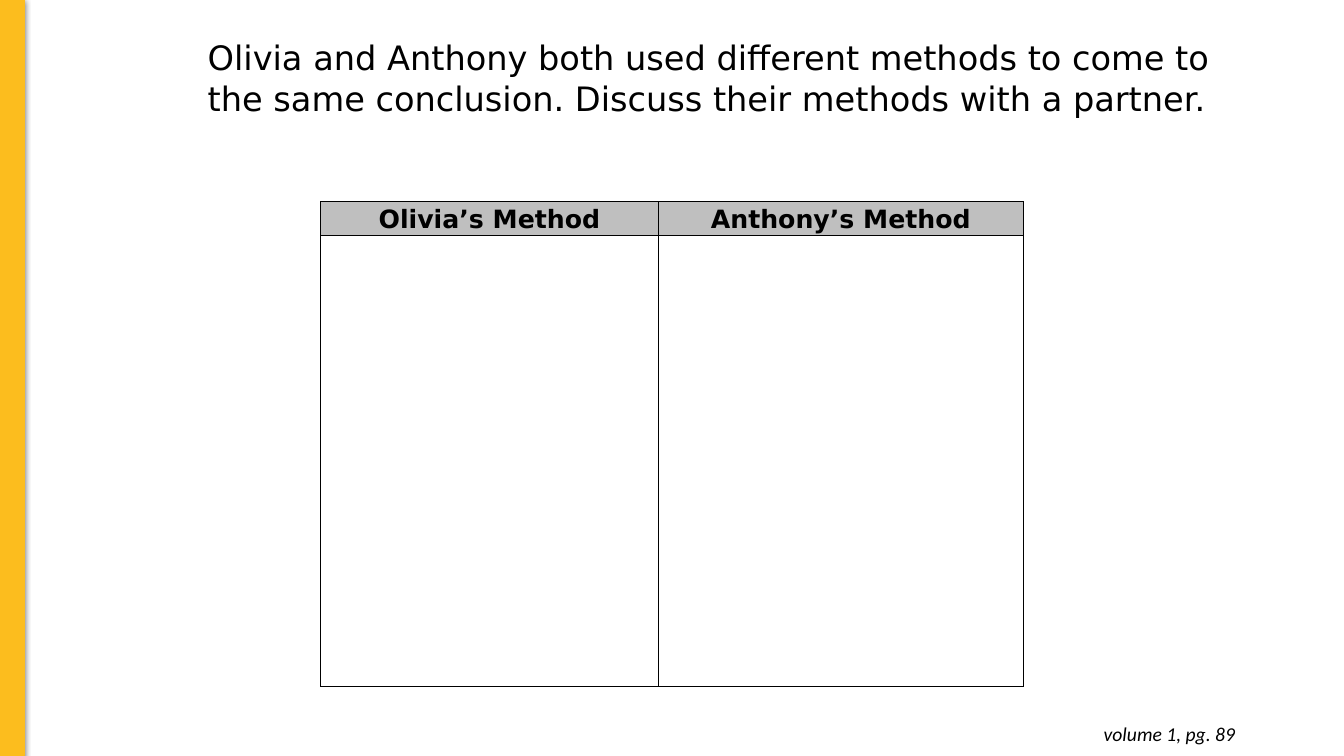
from lxml import etree
from pptx import Presentation
from pptx.dml.color import RGBColor
from pptx.enum import shapes, text
from pptx.oxml import parse_xml
from pptx.oxml.ns import nsdecls, qn
from pptx.util import Inches, Pt

COLORS = {"black": "000000", "yellow": "FCBD1E", "gray": "BFBFBF"}


def rgb(name):
    return RGBColor.from_string(COLORS[name])


def write(tf, content, size, font="DejaVu Sans", align=text.PP_ALIGN.LEFT,
          anchor=text.MSO_ANCHOR.TOP, bold=False, italic=False, spacing=1.0):
    tf.word_wrap = True
    tf.vertical_anchor = anchor
    p = tf.paragraphs[0]
    p.alignment = align
    p.line_spacing = spacing
    p.space_before = Pt(0)
    r = p.add_run()
    r.text = content
    r.font.name, r.font.size = font, Pt(size)
    r.font.bold, r.font.italic = bold, italic
    r.font.color.rgb = rgb("black")
    return p


prs = Presentation()
prs.slide_width, prs.slide_height = Inches(13.33), Inches(7.5)
s = prs.slides.add_slide(prs.slide_layouts[5])

# Title, indented one inch
title = s.shapes.title
title.left, title.top = Inches(0.96), Inches(0.32)
title.width, title.height = Inches(11.42), Inches(1.58)
title.text_frame.auto_size = text.MSO_AUTO_SIZE.NONE
p = write(title.text_frame,
          "Olivia and Anthony both used different methods to come to "
          "the same conclusion. Discuss their methods with a partner.", 24)
pPr = p._p.get_or_add_pPr()
pPr.set("marL", str(Inches(1)))
pPr.set("indent", "0")

# Yellow side bar with a soft shadow
bar = s.shapes.add_shape(shapes.MSO_SHAPE.RECTANGLE, 0, Inches(-0.01),
                         Inches(0.24), Inches(7.51))
bar.fill.solid()
bar.fill.fore_color.rgb = rgb("yellow")
bar.line.color.rgb = rgb("yellow")
bar.line.width = Pt(0.75)
bar.shadow.inherit = False
bar._element.spPr.find(qn("a:effectLst")).append(parse_xml(
    f'<a:outerShdw {nsdecls("a")} blurRad="{Pt(4.5)}" dist="{Pt(1.5)}" '
    f'dir="5400000" rotWithShape="0"><a:srgbClr val="{COLORS["black"]}">'
    '<a:alpha val="50000"/></a:srgbClr></a:outerShdw>'))

# Methods table
table = s.shapes.add_table(2, 2, Inches(3.18), Inches(2),
                           Inches(6.97), Inches(4.81)).table
table.horz_banding = False
for column, width in zip(table.columns, (3.35, 3.62)):
    column.width = Inches(width)
for row, height in zip(table.rows, (0.34, 4.47)):
    row.height = Inches(height)

for cell in table.iter_cells():
    tcPr = cell._tc.get_or_add_tcPr()
    for side in ("lnL", "lnR", "lnT", "lnB"):
        ln = etree.SubElement(tcPr, qn(f"a:{side}"), w=str(Pt(1)))
        fill = etree.SubElement(ln, qn("a:solidFill"))
        etree.SubElement(fill, qn("a:srgbClr"), val=COLORS["black"])
    cell.fill.background()

for cell, heading in zip(table.rows[0].cells,
                         ("Olivia’s Method", "Anthony’s Method")):
    cell.fill.solid()
    cell.fill.fore_color.rgb = rgb("gray")
    cell.margin_left = cell.margin_right = Inches(0.07)
    cell.margin_top = cell.margin_bottom = 0
    p = write(cell.text_frame, heading, 18, align=text.PP_ALIGN.CENTER,
              bold=True, spacing=1.07)
    p.space_after = Pt(8)
    cell.vertical_anchor = text.MSO_ANCHOR.MIDDLE

# Page reference
note = s.shapes.add_textbox(Inches(9.47), Inches(7.06), Inches(2.88), Inches(0.44))
tf = note.text_frame
tf.margin_left = tf.margin_right = tf.margin_top = tf.margin_bottom = Inches(0.1)
write(tf, "volume 1, pg. 89", 14, font="Calibri",
      align=text.PP_ALIGN.RIGHT, italic=True)

prs.save("out.pptx")
